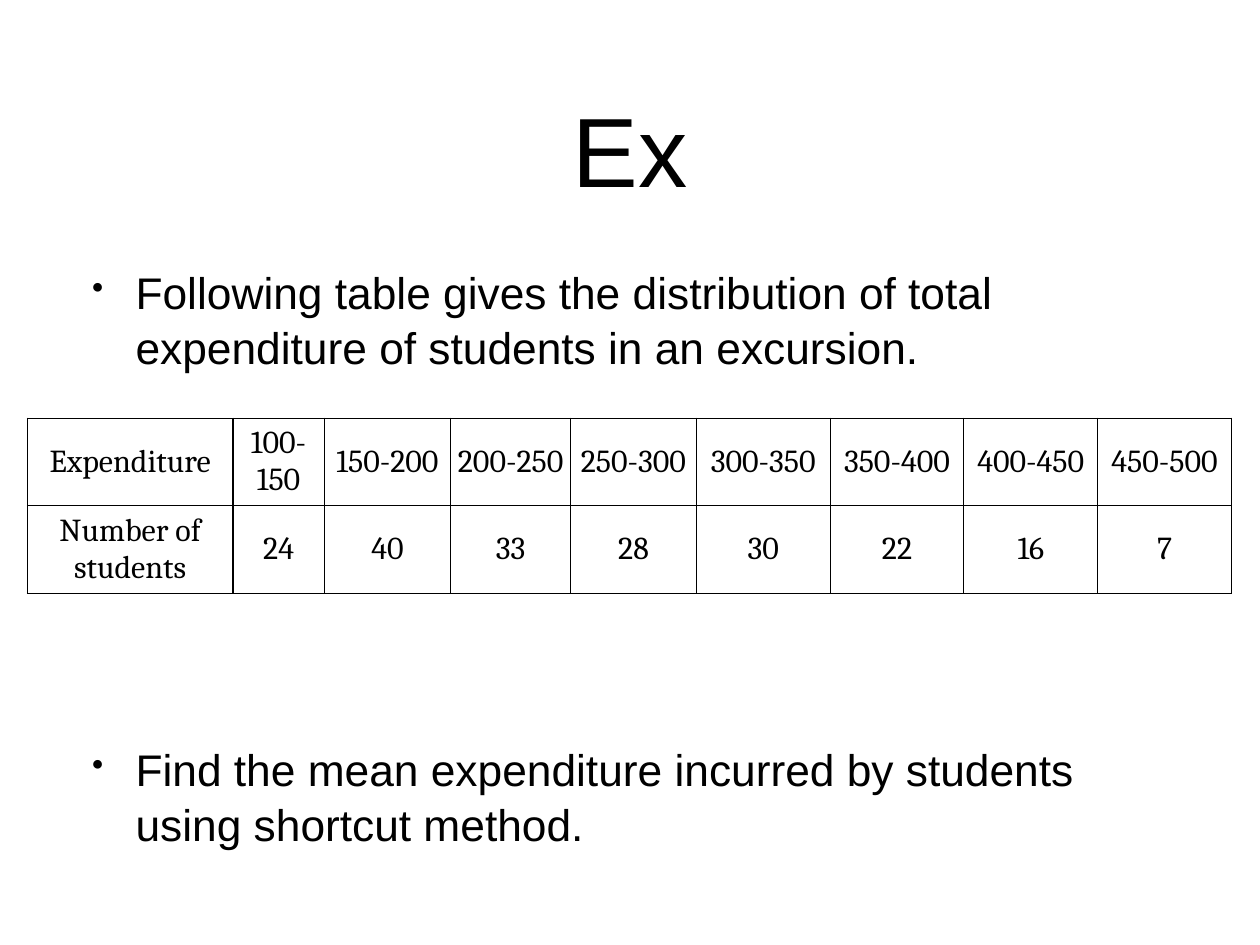
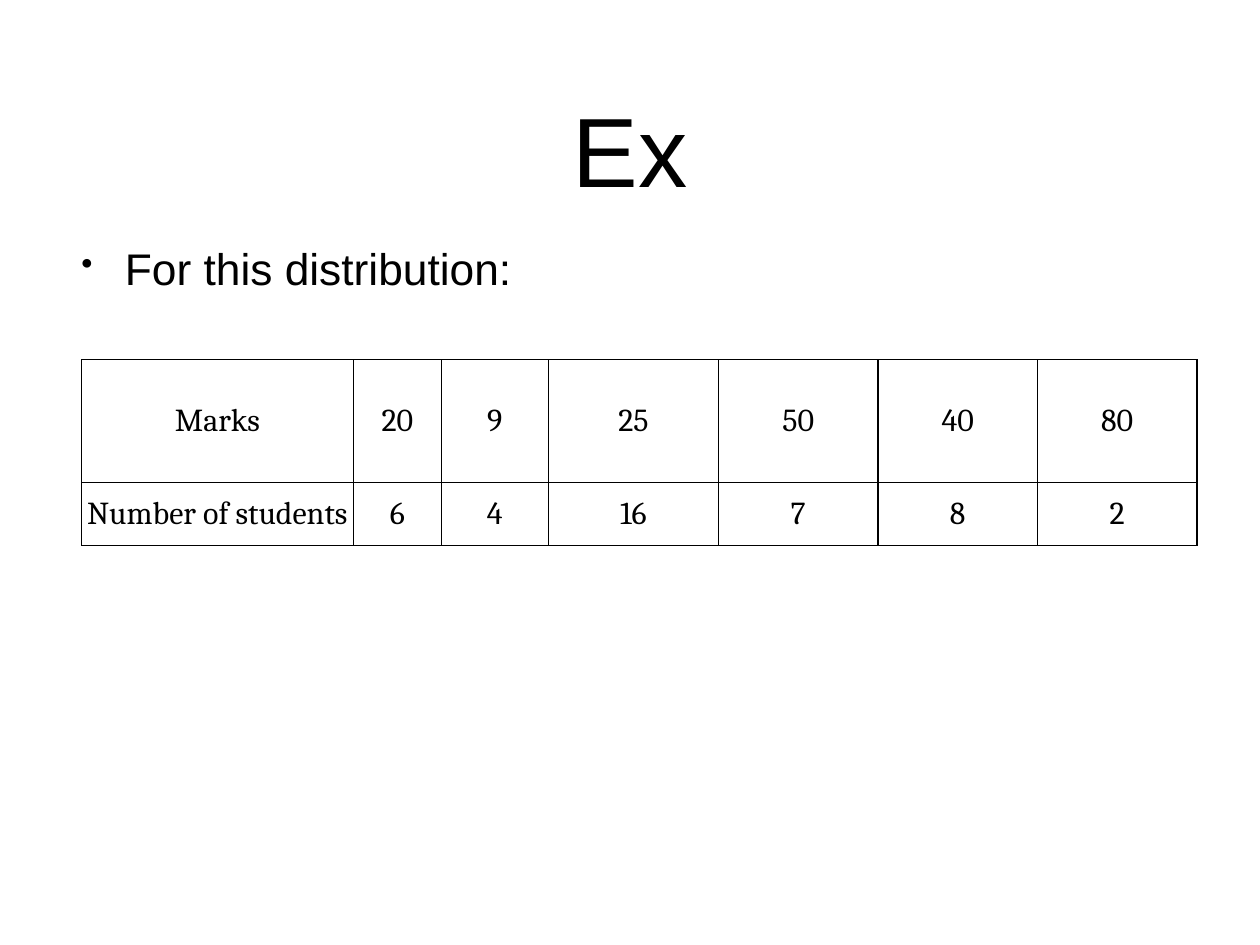
from dataclasses import dataclass

from lxml.etree import SubElement
from pptx import Presentation
from pptx.dml.color import RGBColor
from pptx.enum.text import MSO_ANCHOR, PP_ALIGN
from pptx.oxml.ns import qn
from pptx.util import Inches, Pt

BLACK = RGBColor(0x00, 0x00, 0x00)
TEXT_FONT = "Arial"
TABLE_FONT = "Cambria"
TITLE_SIZE = 80
BULLET_SIZE = 36
CELL_SIZE = 26
BODY_WIDTH, BODY_HEIGHT = 12.14, 6.88
BULLET_INDENT = Inches(0.49)
CELL_MARGIN = Inches(0.05)


@dataclass(frozen=True)
class Bullet:
    text: str
    space_before: float = 42


@dataclass(frozen=True)
class Grid:
    left: float
    top: float
    columns: list[float]
    rows: list[float]
    values: list[list[str]]


@dataclass(frozen=True)
class Exercise:
    body_left: float
    body_top: float
    bullets: list[Bullet]
    grid: Grid


EXERCISES = [
    Exercise(
        1.04,
        2.85,
        [
            Bullet("Following table gives the distribution of total expenditure of students in an excursion."),
            Bullet("Find the mean expenditure incurred by students using shortcut method.", 298),
        ],
        Grid(
            0.31,
            4.72,
            [2.32, 1.03, 1.43, 1.35, 1.42] + [1.51] * 4,
            [0.99, 0.99],
            [
                ["Expenditure"] + [f"{low}-{low + 50}" for low in range(100, 500, 50)],
                ["Number of students", "24", "40", "33", "28", "30", "22", "16", "7"],
            ],
        ),
    ),
    Exercise(
        0.92,
        -0.43,
        [Bullet("For this distribution:")],
        Grid(
            0.92,
            4.06,
            [3.07, 0.99, 1.21, 1.92] + [1.8] * 3,
            [1.39, 0.71],
            [
                ["Marks", "20", "9", "25", "50", "40", "80"],
                ["Number of students", "6", "4", "16", "7", "8", "2"],
            ],
        ),
    ),
]


def add_span(para, text: str, font: str, size: float) -> None:
    span = para.add_run()
    span.text = text
    span.font.name = font
    span.font.size = Pt(size)
    span.font.color.rgb = BLACK


def add_frame(page, left: float, top: float, width: float, height: float):
    box = page.shapes.add_textbox(Inches(left), Inches(top), Inches(width), Inches(height))
    frame = box.text_frame
    frame.word_wrap = True
    frame.vertical_anchor = MSO_ANCHOR.MIDDLE
    frame.margin_left = frame.margin_top = frame.margin_right = frame.margin_bottom = 0
    return frame


def add_title(page) -> None:
    para = add_frame(page, 1.04, 0.49, 12.14, 2.36).paragraphs[0]
    para.alignment = PP_ALIGN.CENTER
    add_span(para, "Ex", TEXT_FONT, TITLE_SIZE)


def set_bullet(para) -> None:
    properties = para._p.get_or_add_pPr()
    properties.set("marL", str(BULLET_INDENT))
    properties.set("indent", str(-BULLET_INDENT))
    color = SubElement(properties, qn("a:buClr"))
    SubElement(color, qn("a:srgbClr"), val=str(BLACK))
    SubElement(properties, qn("a:buSzPct"), val="75000")
    SubElement(properties, qn("a:buChar"), char="•")


def add_bullets(page, exercise: Exercise) -> None:
    frame = add_frame(page, exercise.body_left, exercise.body_top, BODY_WIDTH, BODY_HEIGHT)
    for index, bullet in enumerate(exercise.bullets):
        para = frame.add_paragraph() if index else frame.paragraphs[0]
        para.line_spacing = 1.04
        para.space_before = Pt(bullet.space_before)
        set_bullet(para)
        add_span(para, bullet.text, TEXT_FONT, BULLET_SIZE)


def set_borders(cell) -> None:
    properties = cell._tc.get_or_add_tcPr()
    for side in ("lnL", "lnR", "lnT", "lnB"):
        line = SubElement(properties, qn(f"a:{side}"), w=str(Pt(1)))
        fill = SubElement(line, qn("a:solidFill"))
        SubElement(fill, qn("a:srgbClr"), val=str(BLACK))


def fill_cell(cell, text: str) -> None:
    cell.vertical_anchor = MSO_ANCHOR.MIDDLE
    cell.margin_left = cell.margin_top = cell.margin_right = cell.margin_bottom = CELL_MARGIN
    set_borders(cell)
    cell.fill.background()
    para = cell.text_frame.paragraphs[0]
    para.alignment = PP_ALIGN.CENTER
    add_span(para, text, TABLE_FONT, CELL_SIZE)


def add_grid(page, grid: Grid) -> None:
    table = page.shapes.add_table(
        len(grid.rows),
        len(grid.columns),
        Inches(grid.left),
        Inches(grid.top),
        Inches(sum(grid.columns)),
        Inches(sum(grid.rows)),
    ).table
    table.first_row = table.horz_banding = False
    for column, width in zip(table.columns, grid.columns):
        column.width = Inches(width)
    for row, height, values in zip(table.rows, grid.rows, grid.values):
        row.height = Inches(height)
        for cell, text in zip(row.cells, values):
            fill_cell(cell, text)


def main() -> None:
    deck = Presentation()
    deck.slide_width = Inches(14.22)
    deck.slide_height = Inches(10.67)
    for exercise in EXERCISES:
        page = deck.slides.add_slide(deck.slide_layouts[6])
        add_title(page)
        add_bullets(page, exercise)
        add_grid(page, exercise.grid)
    deck.save("out.pptx")


if __name__ == "__main__":
    main()
